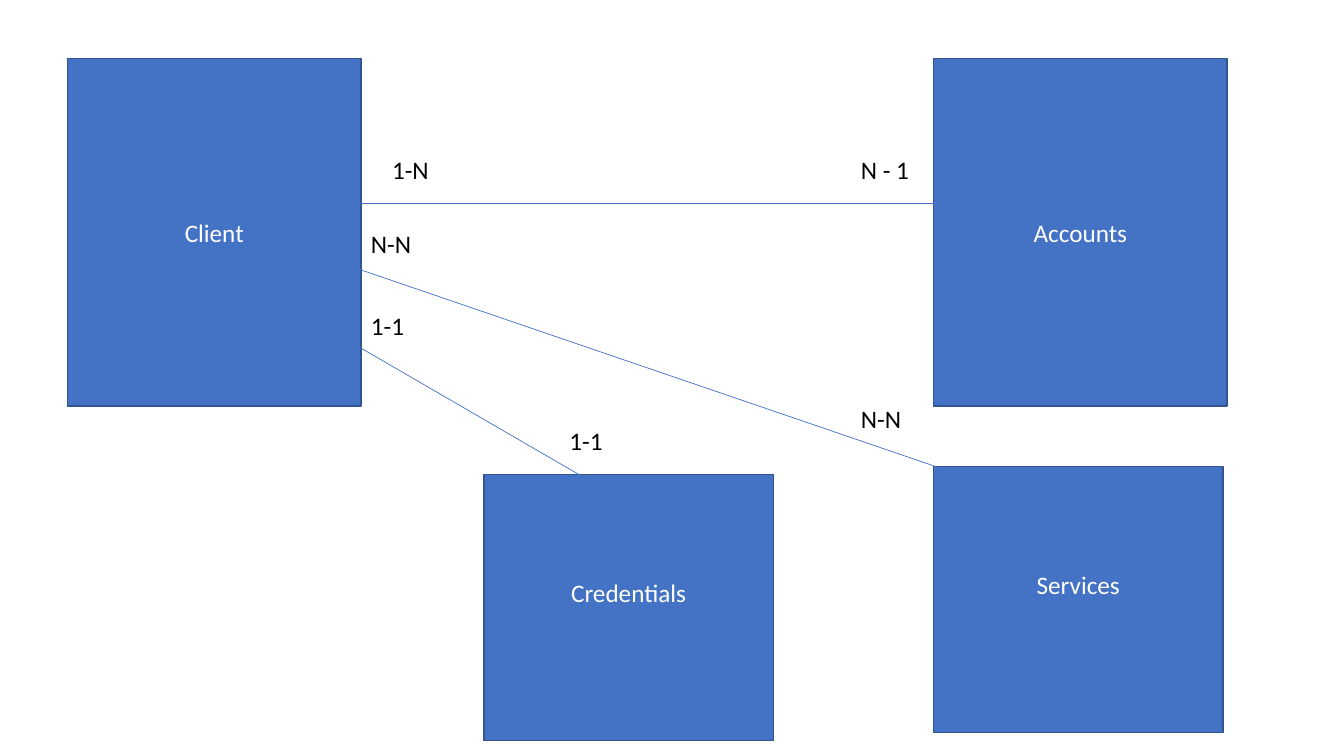
from dataclasses import dataclass

from lxml import etree
from pptx import Presentation
from pptx import util as u
from pptx.dml.color import RGBColor
from pptx.enum import shapes, text
from pptx.oxml.ns import qn

BLUE, DARK_BLUE, WHITE, BLACK = "4472C4", "325491", "FFFFFF", "000000"


@dataclass
class Entity:
    name: str
    left: float
    top: float
    width: float
    height: float
    bottom_inset: float = 0.05


@dataclass
class Relation:
    start: tuple[float, float]
    end: tuple[float, float]


@dataclass
class Cardinality:
    label: str
    left: float
    top: float
    width: float


LEFT_X, RIGHT_X = 0.67, 9.26
TALL = (2.91, 3.45)
SHORT = (2.87, 2.64)
RAISED = 0.35  # bottom inset that lifts the name by half a line

ENTITIES = [
    Entity("Client", LEFT_X, 0.58, *TALL),
    Entity("Accounts", RIGHT_X, 0.58, *TALL),
    Entity("Credentials", 4.8, 4.71, *SHORT, RAISED),
    Entity("Services", RIGHT_X, 4.63, *SHORT, RAISED),
]
RELATIONS = [
    Relation((3.54, 2.02), (9.26, 2.02)),
    Relation((3.54, 3.43), (6.09, 4.91)),
    Relation((3.41, 2.62), (9.52, 4.71)),
]
CARDINALITIES = [
    Cardinality("1-N", 3.79, 1.48, 0.57),
    Cardinality("N - 1", 8.44, 1.48, 0.69),
    Cardinality("1-1", 3.58, 3.03, 0.54),
    Cardinality("1-1", 5.55, 4.17, 0.54),
    Cardinality("N-N", 3.58, 2.22, 0.61),
    Cardinality("N-N", 8.44, 3.95, 0.61),
]


def rgb(value: str) -> RGBColor:
    return RGBColor.from_string(value)


def add_run(p, content: str, color: str) -> None:
    r = p.add_run()
    r.text = content
    r.font.name = "Calibri"
    r.font.size = u.Pt(18)
    r.font.color.rgb = rgb(color)


def add_entity(s, entity: Entity) -> None:
    box = (entity.left, entity.top, entity.width, entity.height)
    sp = s.shapes.add_shape(shapes.MSO_SHAPE.RECTANGLE, *map(u.Inches, box))
    sp.shadow.inherit = False
    sp.fill.solid()
    sp.fill.fore_color.rgb = rgb(BLUE)
    sp.line.color.rgb = rgb(DARK_BLUE)
    sp.line.width = u.Pt(1)
    tf = sp.text_frame
    tf.word_wrap = True
    tf.vertical_anchor = text.MSO_ANCHOR.MIDDLE
    tf.margin_bottom = u.Inches(entity.bottom_inset)
    p = tf.paragraphs[0]
    p.alignment = text.PP_ALIGN.CENTER
    add_run(p, entity.name, WHITE)


def add_relation(s, relation: Relation) -> None:
    ends = map(u.Inches, relation.start + relation.end)
    line = s.shapes.add_connector(shapes.MSO_CONNECTOR.STRAIGHT, *ends)
    line.line.color.rgb = rgb(BLUE)
    line.line.width = u.Pt(0.5)
    etree.SubElement(line._element.spPr, qn("a:effectLst"))


def add_cardinality(s, item: Cardinality) -> None:
    box = (item.left, item.top, item.width, 0.4)
    tf = s.shapes.add_textbox(*map(u.Inches, box)).text_frame
    tf.word_wrap = False
    tf.auto_size = text.MSO_AUTO_SIZE.SHAPE_TO_FIT_TEXT
    add_run(tf.paragraphs[0], item.label, BLACK)


def main() -> None:
    prs = Presentation()
    prs.slide_width, prs.slide_height = u.Inches(13.33), u.Inches(7.5)
    s = prs.slides.add_slide(prs.slide_layouts[6])
    for entity in ENTITIES:
        add_entity(s, entity)
    for relation in RELATIONS:
        add_relation(s, relation)
    for item in CARDINALITIES:
        add_cardinality(s, item)
    prs.save("out.pptx")


if __name__ == "__main__":
    main()
